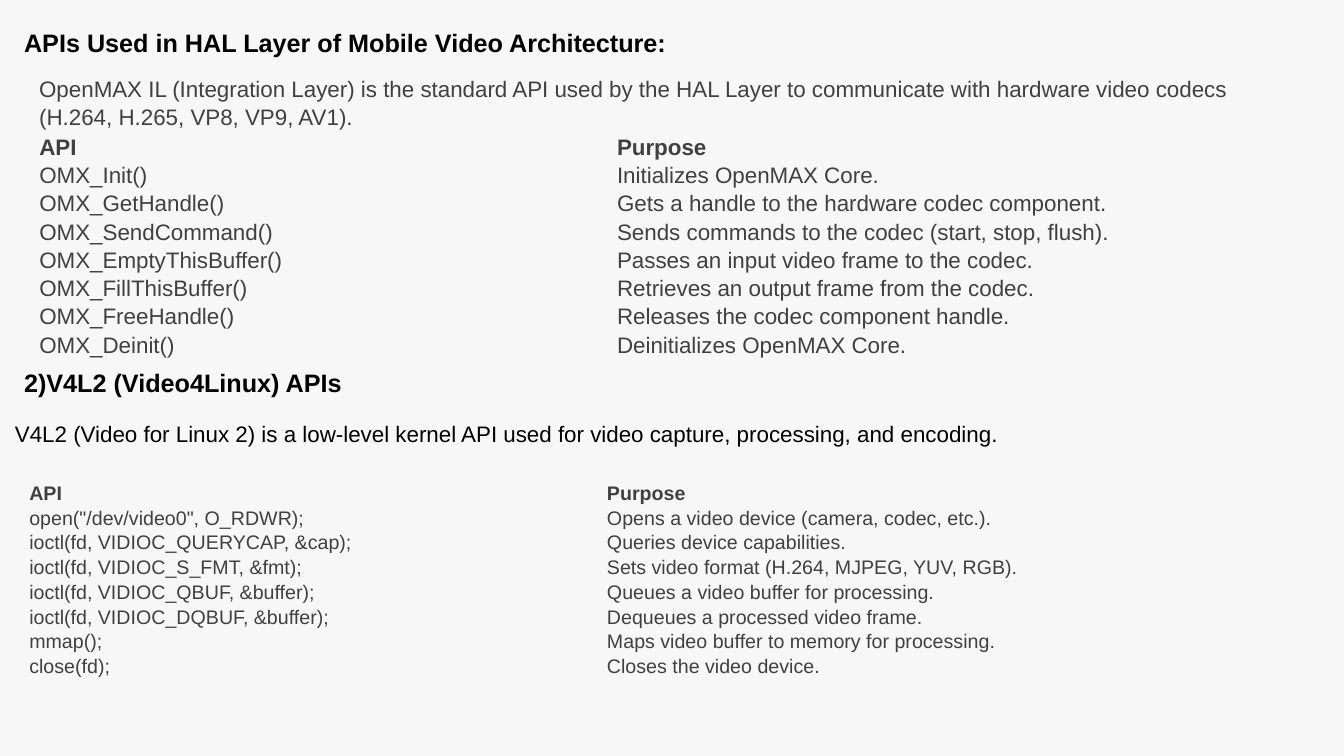
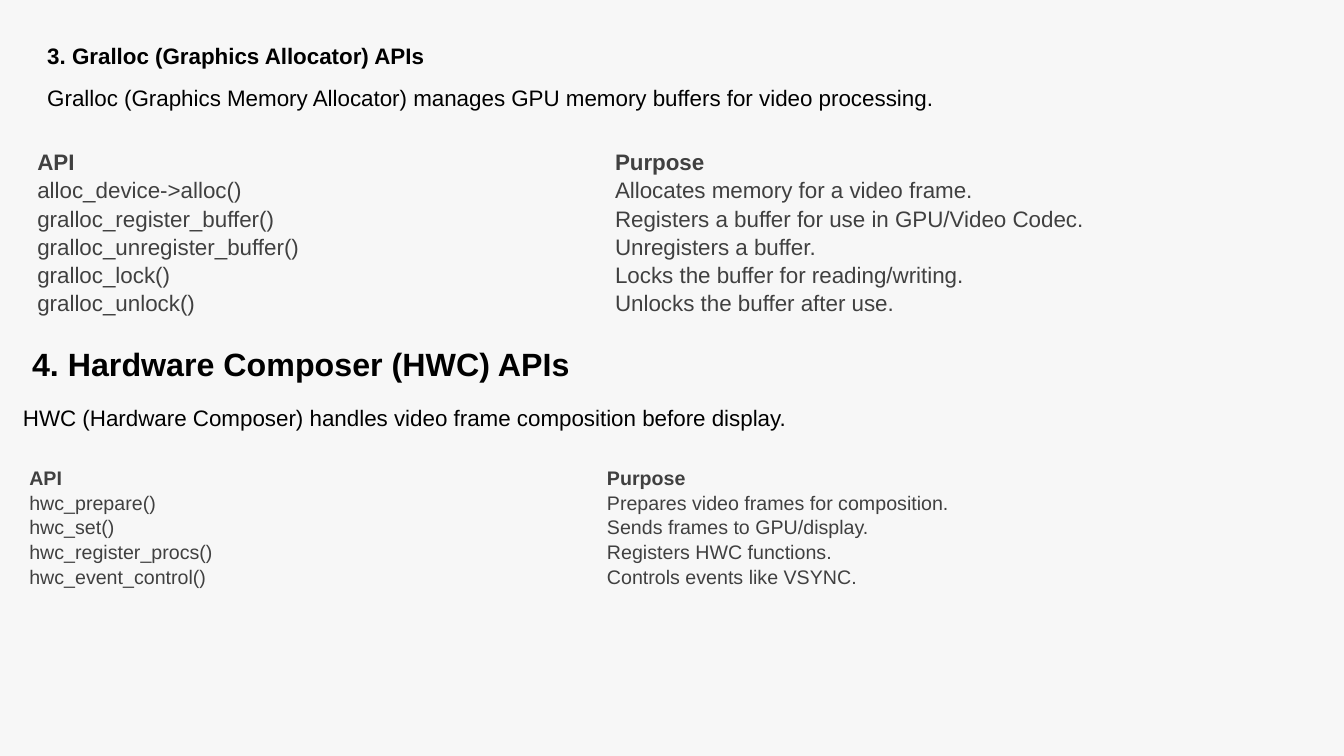
import pptx
import pptx.util
import pptx.dml.color
import pptx.enum.text
import pptx.oxml.ns

Inches = pptx.util.Inches
Pt = pptx.util.Pt
RGBColor = pptx.dml.color.RGBColor

# Shared look
BACKGROUND = RGBColor(0xF7, 0xF7, 0xF7)
BLACK = RGBColor(0x00, 0x00, 0x00)
GREY = RGBColor(0x40, 0x40, 0x40)
FONT = "Arial"
LINE_SPACING = 1.05
COLUMN_WIDTH = 5.73
NO_TABLE_STYLE = "{2D5ABB26-0587-4C30-8999-92F81FD0307C}"

# Text boxes: (left, top, width, height), then paragraphs of
# (text, size, bold, colour, indent in inches, space after in points)
# Tables: (left, top), size, rows
SLIDES = [
    {
        "boxes": [
            ((0.14, 0.21, 12.32, 0.42), [
                ("APIs Used in HAL Layer of Mobile Video Architecture:", 18, True, BLACK, 0, 0),
            ]),
            ((0.29, 0.68, 12, 0.56), [
                ("OpenMAX IL (Integration Layer) is the standard API used by the HAL Layer "
                 "to communicate with hardware video codecs (H.264, H.265, VP8, VP9, AV1).",
                 16, False, GREY, 0, 0),
            ]),
            ((0.05, 3.58, 11.77, 0.94), [
                ("2)V4L2 (Video4Linux) APIs", 18, True, BLACK, 0.09, 14.9),
                ("V4L2 (Video for Linux 2) is a low-level kernel API used for video capture, "
                 "processing, and encoding.", 16, False, BLACK, 0, 0),
            ]),
        ],
        "tables": [
            ((0.39, 1.32), 16, [
                ("API", "Purpose"),
                ("OMX_Init()", "Initializes OpenMAX Core."),
                ("OMX_GetHandle()", "Gets a handle to the hardware codec component."),
                ("OMX_SendCommand()", "Sends commands to the codec (start, stop, flush)."),
                ("OMX_EmptyThisBuffer()", "Passes an input video frame to the codec."),
                ("OMX_FillThisBuffer()", "Retrieves an output frame from the codec."),
                ("OMX_FreeHandle()", "Releases the codec component handle."),
                ("OMX_Deinit()", "Deinitializes OpenMAX Core."),
            ]),
            ((0.29, 4.77), 14, [
                ("API", "Purpose"),
                ('open("/dev/video0", O_RDWR);', "Opens a video device (camera, codec, etc.)."),
                ("ioctl(fd, VIDIOC_QUERYCAP, &cap);", "Queries device capabilities."),
                ("ioctl(fd, VIDIOC_S_FMT, &fmt);", "Sets video format (H.264, MJPEG, YUV, RGB)."),
                ("ioctl(fd, VIDIOC_QBUF, &buffer);", "Queues a video buffer for processing."),
                ("ioctl(fd, VIDIOC_DQBUF, &buffer);", "Dequeues a processed video frame."),
                ("mmap();", "Maps video buffer to memory for processing."),
                ("close(fd);", "Closes the video device."),
            ]),
        ],
    },
    {
        "boxes": [
            ((0.37, 0.36, 12.28, 0.82), [
                ("3. Gralloc (Graphics Allocator) APIs", 16, True, BLACK, 0, 9.6),
                ("Gralloc (Graphics Memory Allocator) manages GPU memory buffers for video "
                 "processing.", 16, False, BLACK, 0, 0),
            ]),
            ((0.13, 3.35, 12.34, 1.01), [
                ("4. Hardware Composer (HWC) APIs", 23, True, BLACK, 0.09, 13.8),
                ("HWC (Hardware Composer) handles video frame composition before display.",
                 16, False, BLACK, 0, 0),
            ]),
        ],
        "tables": [
            ((0.37, 1.47), 16, [
                ("API", "Purpose"),
                ("alloc_device->alloc()", "Allocates memory for a video frame."),
                ("gralloc_register_buffer()", "Registers a buffer for use in GPU/Video Codec."),
                ("gralloc_unregister_buffer()", "Unregisters a buffer."),
                ("gralloc_lock()", "Locks the buffer for reading/writing."),
                ("gralloc_unlock()", "Unlocks the buffer after use."),
            ]),
            ((0.29, 4.62), 14, [
                ("API", "Purpose"),
                ("hwc_prepare()", "Prepares video frames for composition."),
                ("hwc_set()", "Sends frames to GPU/display."),
                ("hwc_register_procs()", "Registers HWC functions."),
                ("hwc_event_control()", "Controls events like VSYNC."),
            ]),
        ],
    },
]


def write(para, text, size, bold, colour):
    para.line_spacing = LINE_SPACING
    span = para.add_run()
    span.text = text
    span.font.name = FONT
    span.font.size = Pt(size)
    span.font.bold = bold
    span.font.color.rgb = colour


deck = pptx.Presentation()
deck.slide_width = Inches(13.33)
deck.slide_height = Inches(7.5)

# Shared background
master_fill = deck.slide_master.background.fill
master_fill.solid()
master_fill.fore_color.rgb = BACKGROUND

for content in SLIDES:
    page = deck.slides.add_slide(deck.slide_layouts[6])

    # Headings and introductions
    for place, paragraphs in content["boxes"]:
        box = page.shapes.add_textbox(*map(Inches, place))
        frame = box.text_frame
        frame.word_wrap = True
        for index, (text, size, bold, colour, indent, after) in enumerate(paragraphs):
            para = frame.add_paragraph() if index else frame.paragraphs[0]
            para.space_after = Pt(after)
            if indent:
                properties = para._p.get_or_add_pPr()
                properties.set("marL", str(Inches(indent)))
                properties.set("indent", "0")
            write(para, text, size, bold, colour)

    # API tables
    for (left, top), size, rows in content["tables"]:
        row_height = Pt(size * 1.2)
        holder = page.shapes.add_table(
            len(rows), 2, Inches(left), Inches(top),
            Inches(2 * COLUMN_WIDTH), row_height * len(rows))
        table = holder.table
        table.first_row = table.horz_banding = False
        for style in holder.element.iter(pptx.oxml.ns.qn("a:tableStyleId")):
            style.text = NO_TABLE_STYLE
        for row_index, row in enumerate(rows):
            table.rows[row_index].height = row_height
            for column_index, text in enumerate(row):
                cell = table.cell(row_index, column_index)
                cell.fill.background()
                cell.vertical_anchor = pptx.enum.text.MSO_ANCHOR.MIDDLE
                cell.margin_left = cell.margin_right = 0
                cell.margin_top = cell.margin_bottom = 0
                write(cell.text_frame.paragraphs[0], text, size, row_index == 0, GREY)

deck.save("out.pptx")
